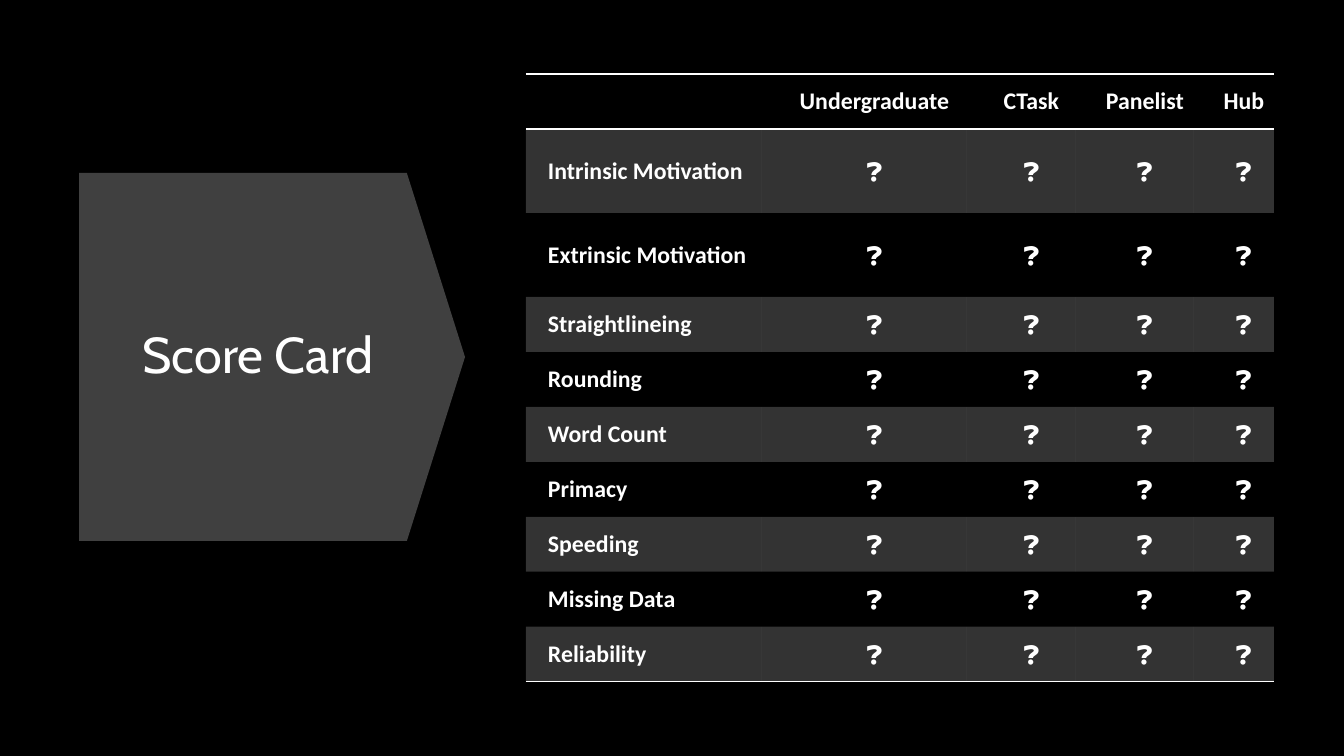
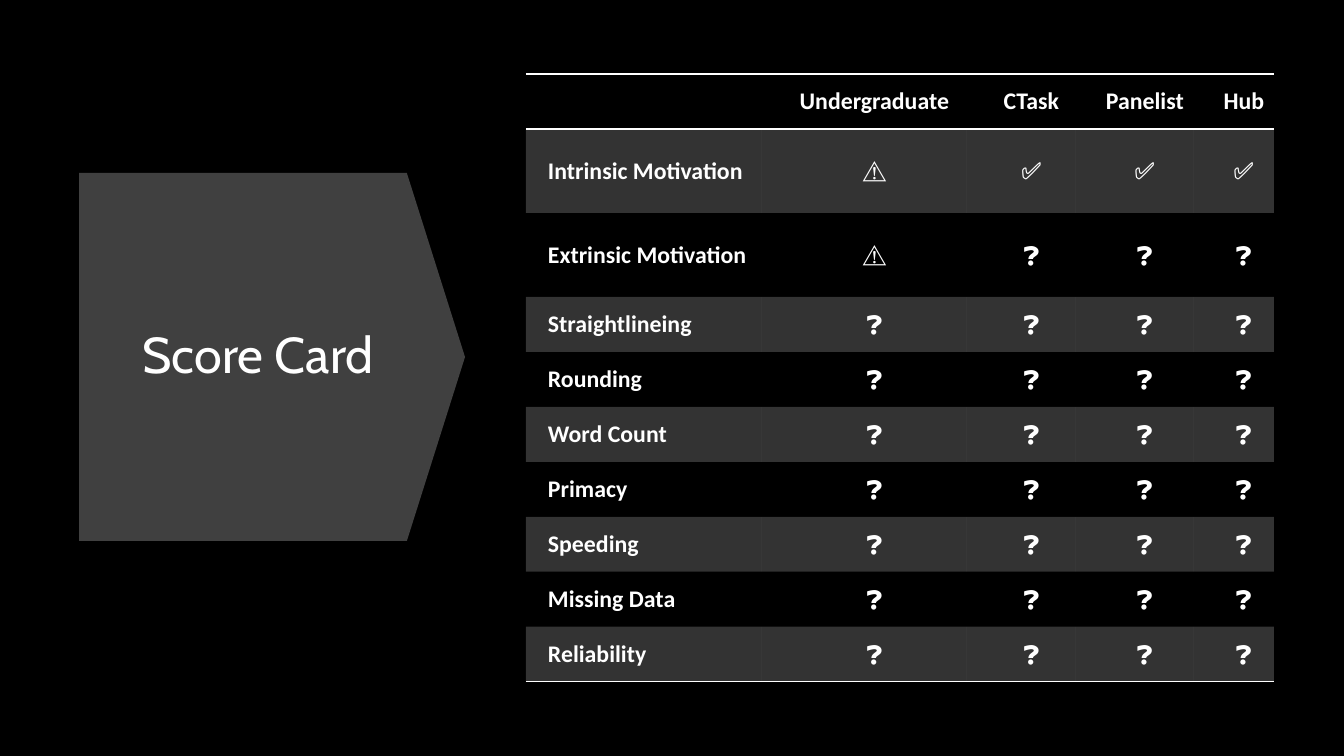
from dataclasses import dataclass

from lxml import etree
from pptx import Presentation
from pptx.dml.color import RGBColor
from pptx.enum.shapes import MSO_SHAPE
from pptx.enum.text import MSO_ANCHOR, PP_ALIGN
from pptx.oxml.ns import qn
from pptx.presentation import Presentation as Deck
from pptx.slide import Slide
from pptx.table import _Cell
from pptx.text.text import TextFrame
from pptx.util import Length, Pt

DOWN_ARROW = MSO_SHAPE.DOWN_ARROW
LEFT, CENTER = PP_ALIGN.LEFT, PP_ALIGN.CENTER
MIDDLE = MSO_ANCHOR.MIDDLE

BLACK = RGBColor(0x00, 0x00, 0x00)
WHITE = RGBColor(0xFF, 0xFF, 0xFF)
GRAY = RGBColor(0x40, 0x40, 0x40)

TITLE_FONT = "Cabin"
TABLE_FONT = "Calibri"
PLAIN_TABLE_STYLE = "{2D5ABB26-0587-4C30-8999-92F81FD0307C}"
TITLE_ONLY_LAYOUT = 5
SLIDE_WIDTH, SLIDE_HEIGHT = 1344, 756
EMU_PER_SLIDE_WIDTH = 12192000
BAND_OPACITY = 20
RULE_WIDTH = Pt(1)


@dataclass(frozen=True)
class Frame:
    left: int
    top: int
    width: int
    height: int

    def emu(self) -> tuple[Length, ...]:
        return tuple(px(side) for side in (self.left, self.top, self.width, self.height))


@dataclass(frozen=True)
class Column:
    label: str
    width: int


@dataclass(frozen=True)
class Criterion:
    name: str
    height: int = 55


ARROW_FRAME = Frame(88, 164, 368, 386)
TITLE_FRAME = Frame(113, 217, 290, 281)
TABLE_LEFT, TABLE_TOP = 526, 74
HEADER_HEIGHT = 55

COLUMNS = (
    Column("", 236),
    Column("Undergraduate", 205),
    Column("CTask", 109),
    Column("Panelist", 118),
    Column("Hub", 80),
)
CRITERIA = (
    Criterion("Intrinsic Motivation", 84),
    Criterion("Extrinsic Motivation", 84),
    Criterion("Straightlineing"),
    Criterion("Rounding"),
    Criterion("Word Count"),
    Criterion("Primacy"),
    Criterion("Speeding"),
    Criterion("Missing Data"),
    Criterion("Reliability"),
)
UNKNOWN = ("❓",) * 4
SCORE_CARDS: tuple[dict[str, tuple[str, ...]], ...] = (
    {},
    {
        "Intrinsic Motivation": ("⚠️", "✅", "✅", "✅"),
        "Extrinsic Motivation": ("⚠️", "❓", "❓", "❓"),
    },
)


def px(value: int) -> Length:
    return Length(round(value * EMU_PER_SLIDE_WIDTH / SLIDE_WIDTH))


def write_text(
    text_frame: TextFrame,
    text: str,
    *,
    font: str = TABLE_FONT,
    size: int = 17,
    bold: bool = False,
    align: PP_ALIGN = CENTER,
    line_spacing: float = 1.0,
) -> None:
    text_frame.text = text
    paragraph = text_frame.paragraphs[0]
    paragraph.alignment = align
    paragraph.line_spacing = line_spacing
    for target in (paragraph, *paragraph.runs):
        target.font.name = font
        target.font.size = Pt(size)
        target.font.bold = bold
        target.font.color.rgb = WHITE


def add_rules(cell: _Cell, *edges: str) -> None:
    properties = cell._tc.get_or_add_tcPr()
    for position, edge in enumerate(edges):
        line = etree.Element(qn(f"a:{edge}"), w=str(RULE_WIDTH))
        fill = etree.SubElement(line, qn("a:solidFill"))
        etree.SubElement(fill, qn("a:srgbClr"), val=str(WHITE))
        properties.insert(position, line)


def fill_cell(cell: _Cell, banded: bool) -> None:
    if not banded:
        cell.fill.background()
        return
    cell.fill.solid()
    cell.fill.fore_color.rgb = WHITE
    color = cell._tc.tcPr.find(".//" + qn("a:srgbClr"))
    etree.SubElement(color, qn("a:alpha"), val=str(BAND_OPACITY * 1000))


def add_title(slide: Slide, text: str) -> None:
    title = slide.shapes.title
    title.left, title.top, title.width, title.height = TITLE_FRAME.emu()
    title.text_frame.vertical_anchor = MIDDLE
    write_text(title.text_frame, text, font=TITLE_FONT, size=36, line_spacing=0.9)

    arrow = slide.shapes.add_shape(DOWN_ARROW, *ARROW_FRAME.emu())
    arrow.rotation = 270
    arrow.adjustments[0] = 1
    arrow.adjustments[1] = 0.158
    arrow.fill.solid()
    arrow.fill.fore_color.rgb = GRAY
    arrow.line.fill.background()
    arrow.shadow.inherit = False
    title.element.addprevious(arrow.element)


def add_score_table(slide: Slide, marks: dict[str, tuple[str, ...]]) -> None:
    rows = [tuple(column.label for column in COLUMNS)]
    rows += [(item.name, *marks.get(item.name, UNKNOWN)) for item in CRITERIA]
    heights = [HEADER_HEIGHT, *(item.height for item in CRITERIA)]
    frame = Frame(TABLE_LEFT, TABLE_TOP, sum(column.width for column in COLUMNS), sum(heights))
    graphic_frame = slide.shapes.add_table(len(rows), len(COLUMNS), *frame.emu())
    table = graphic_frame.table
    table.first_row = table.horz_banding = False
    graphic_frame.element.find(".//" + qn("a:tableStyleId")).text = PLAIN_TABLE_STYLE

    for table_column, column in zip(table.columns, COLUMNS):
        table_column.width = px(column.width)
    for row_index, (texts, height) in enumerate(zip(rows, heights)):
        table.rows[row_index].height = px(height)
        is_header = row_index == 0
        for column_index, text in enumerate(texts):
            is_name = column_index == 0
            cell = table.cell(row_index, column_index)
            cell.vertical_anchor = MIDDLE
            cell.margin_left, cell.margin_right = px(22), px(2)
            cell.margin_top = cell.margin_bottom = px(11)
            write_text(
                cell.text_frame,
                text,
                bold=is_header or is_name,
                align=LEFT if is_name else CENTER,
            )
            fill_cell(cell, banded=row_index % 2 == 1)
            if is_header:
                add_rules(cell, "lnT", "lnB")
            elif row_index == len(rows) - 1:
                add_rules(cell, "lnB")


def add_score_card(presentation: Deck, marks: dict[str, tuple[str, ...]]) -> None:
    slide = presentation.slides.add_slide(presentation.slide_layouts[TITLE_ONLY_LAYOUT])
    add_title(slide, "Score Card")
    add_score_table(slide, marks)


def main() -> None:
    presentation = Presentation()
    presentation.slide_width, presentation.slide_height = px(SLIDE_WIDTH), px(SLIDE_HEIGHT)
    background = presentation.slide_master.background.fill
    background.solid()
    background.fore_color.rgb = BLACK
    for marks in SCORE_CARDS:
        add_score_card(presentation, marks)
    presentation.save("out.pptx")


if __name__ == "__main__":
    main()
